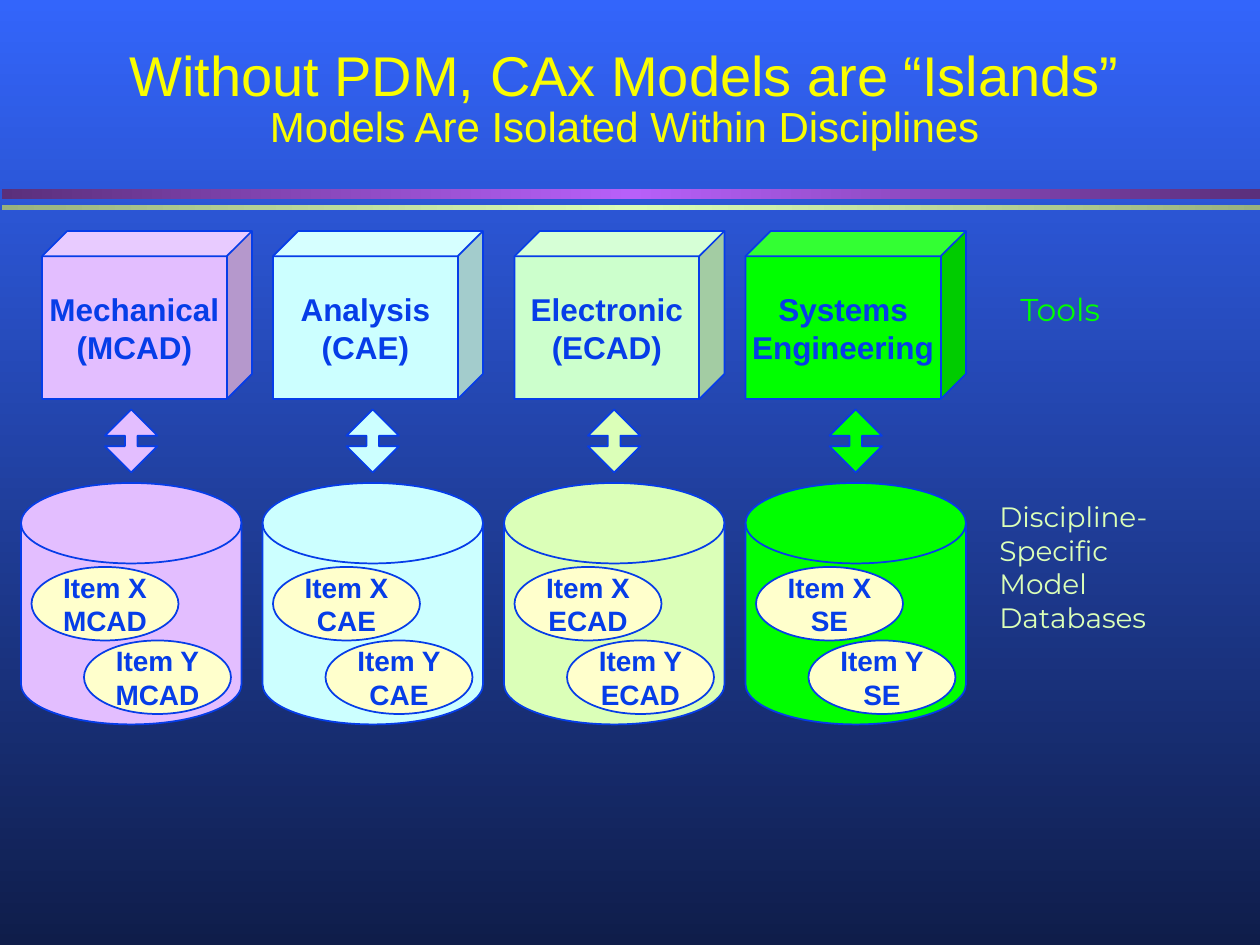
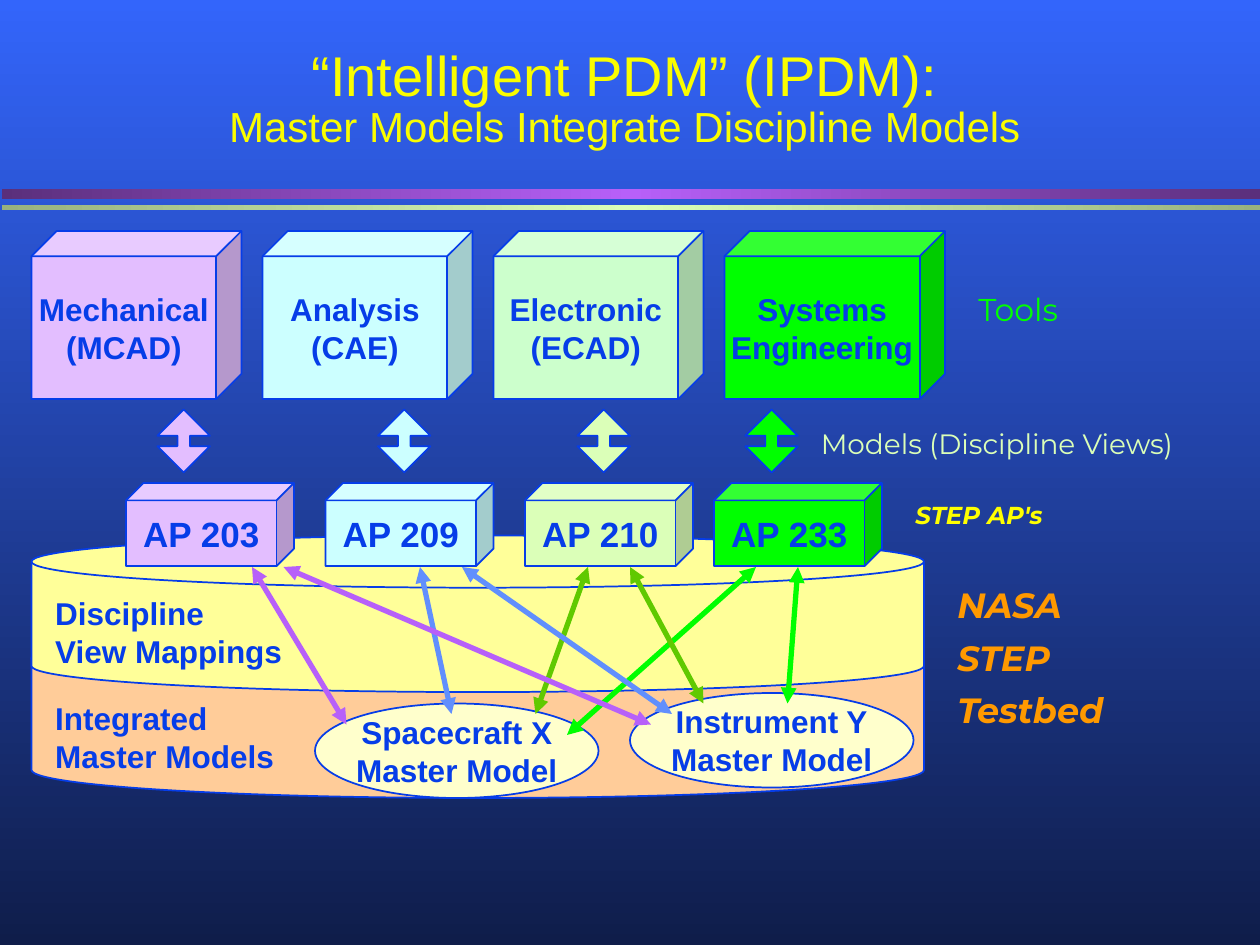
"""Builds two slides on product data management with and without shared master models."""
from copy import deepcopy

from lxml import etree
from pptx import Presentation
from pptx.dml.color import RGBColor
from pptx.enum.shapes import MSO_CONNECTOR, MSO_SHAPE
from pptx.enum.text import MSO_ANCHOR, MSO_AUTO_SIZE, PP_ALIGN
from pptx.oxml.ns import qn
from pptx.util import Pt

RECTANGLE = MSO_SHAPE.RECTANGLE
CUBE = MSO_SHAPE.CUBE
DISK = MSO_SHAPE.FLOWCHART_MAGNETIC_DISK
ELLIPSE = MSO_SHAPE.OVAL
DOUBLE_ARROW = MSO_SHAPE.UP_DOWN_ARROW
STRAIGHT = MSO_CONNECTOR.STRAIGHT
NO_AUTOFIT = MSO_AUTO_SIZE.NONE
CENTER, LEFT = PP_ALIGN.CENTER, PP_ALIGN.LEFT
TOP, MIDDLE, BOTTOM = MSO_ANCHOR.TOP, MSO_ANCHOR.MIDDLE, MSO_ANCHOR.BOTTOM

COLORS = {
    "sky": "3365FB", "night": "0F1D4A", "title": "FAFD00", "ink": "063DE8",
    "violet": "B760F9", "dark violet": "5A2F7B", "dark lime": "98B17F",
    "lilac": "E3BEFF", "cyan": "CCFFFF", "mint": "CCFFCC", "lime": "DBFFB8",
    "green": "00FF00", "cream": "FFFFCC", "peach": "FFCC99", "pale yellow": "FFFF99",
    "yellow": "FFFF00", "orange": "FF9900", "blue": "618FFD", "leaf": "60C900",
}
HEADING_FONT, LABEL_FONT = "Arial", "Montserrat"
TOOLS = [("Mechanical\n(MCAD)", "lilac"), ("Analysis\n(CAE)", "cyan"),
         ("Electronic\n(ECAD)", "mint"), ("Systems\nEngineering", "green")]
MODEL_COLORS = ["lilac", "cyan", "lime", "green"]


def rgb(name):
    return RGBColor.from_string(COLORS[name])


class Deck:
    """Holds the shared style and the current slide."""

    def __init__(self):
        self.presentation = Presentation()
        self.presentation.slide_width = Pt(720)
        self.presentation.slide_height = Pt(540)
        self.slide = None
        backdrop = self.presentation.slide_master.background.fill
        backdrop.gradient()
        backdrop.gradient_angle = 270
        self.color_stops(backdrop, ["sky", "night"])

    def color_stops(self, fill, names):
        for index, (stop, name) in enumerate(zip(fill.gradient_stops, names)):
            stop.position = index / (len(names) - 1)
            stop.color.rgb = rgb(name)

    def start(self, heading, subheading):
        self.slide = self.presentation.slides.add_slide(self.presentation.slide_layouts[5])
        self.band(108, 6, "dark violet", "violet")
        self.band(117, 3, "dark lime", "lime")
        title = self.slide.shapes.title
        title.left, title.top, title.width, title.height = Pt(48), Pt(18), Pt(618), Pt(72)
        frame = title.text_frame
        frame.auto_size = NO_AUTOFIT
        frame.vertical_anchor = BOTTOM
        paragraph = frame.paragraphs[0]
        paragraph.alignment = CENTER
        paragraph.line_spacing = 0.85
        self.style(paragraph.font, 32, "title", HEADING_FONT)
        paragraph.add_run().text = heading
        paragraph.add_line_break()
        second_line = paragraph.add_run()
        second_line.text = subheading
        second_line.font.size = Pt(24)

    def style(self, font, size, color, name, bold=False, italic=False):
        font.name, font.size, font.bold, font.italic = name, Pt(size), bold, italic
        font.color.rgb = rgb(color)

    def fill_text(self, frame, paragraphs, align, anchor, **look):
        frame.word_wrap = False
        frame.vertical_anchor = anchor
        for index, text in enumerate(paragraphs):
            paragraph = frame.add_paragraph() if index else frame.paragraphs[0]
            paragraph.text = text
            paragraph.alignment = align
            self.style(paragraph.font, **look)

    def band(self, top, height, edge, middle):
        band = self.slide.shapes.add_shape(RECTANGLE, Pt(1), Pt(top), Pt(719), Pt(height))
        band.shadow.inherit = False
        band.line.fill.background()
        band.fill.gradient()
        band.fill.gradient_angle = 180
        stops = next(band._element.iter(qn("a:gsLst")))
        stops.append(deepcopy(stops[0]))
        self.color_stops(band.fill, [edge, middle, edge])

    def shape(self, kind, left, top, width, height, color, text=(), size=18, adjust=()):
        shape = self.slide.shapes.add_shape(kind, Pt(left), Pt(top), Pt(width), Pt(height))
        shape.shadow.inherit = False
        shape.fill.solid()
        shape.fill.fore_color.rgb = rgb(color)
        shape.line.color.rgb = rgb("ink")
        shape.line.width = Pt(1)
        for index, value in enumerate(adjust):
            shape.adjustments[index] = value
        if text:
            self.fill_text(shape.text_frame, text, CENTER, MIDDLE,
                           size=size, color="ink", name=HEADING_FONT, bold=True)

    def tools(self, lefts):
        for left, (name, color) in zip(lefts, TOOLS):
            width = 126 if color == "green" else 120
            self.shape(CUBE, left, 132, width, 96, color, [name], adjust=[0.15])

    def exchange_arrows(self, lefts):
        for left, color in zip(lefts, MODEL_COLORS):
            self.shape(DOUBLE_ARROW, left, 234, 30, 36, color, adjust=[0.5, 0.24])

    def label(self, left, top, width, height, paragraphs, size, color,
              name=LABEL_FONT, bold=False, italic=False):
        box = self.slide.shapes.add_textbox(Pt(left), Pt(top), Pt(width), Pt(height))
        self.fill_text(box.text_frame, paragraphs, LEFT, TOP,
                       size=size, color=color, name=name, bold=bold, italic=italic)

    def link(self, start, end, color):
        link = self.slide.shapes.add_connector(STRAIGHT, *map(Pt, start + end))
        link.line.color.rgb = rgb(color)
        link.line.width = Pt(3)
        line = link._element.spPr.find(qn("a:ln"))
        for tag in ("a:headEnd", "a:tailEnd"):
            etree.SubElement(line, qn(tag), type="triangle")
        etree.SubElement(link._element.spPr, qn("a:effectLst"))


def build_islands(deck):
    deck.start("Without PDM, CAx Models are “Islands”", "Models Are Isolated Within Disciplines")
    databases = [12 + 138 * column for column in range(4)]
    deck.tools([24, 156, 294, 426])
    deck.label(576, 162, 72, 24, ["Tools"], 18, "green")
    deck.label(564, 282, 132, 132, ["Discipline-", "Specific", "Model", "Databases"], 16, "lime")
    deck.exchange_arrows([left + 48 for left in databases])
    for left, color, discipline in zip(databases, MODEL_COLORS, ["MCAD", "CAE", "ECAD", "SE"]):
        deck.shape(DISK, left, 276, 126, 138, color)
        for item, indent, top in [("X", 6, 324), ("Y", 36, 366)]:
            deck.shape(ELLIPSE, left + indent, top, 84, 42, "cream",
                       [f"Item {item}\n{discipline}"], 16)


def build_integration(deck):
    deck.start("“Intelligent PDM” (IPDM):", "Master Models Integrate Discipline Models")
    deck.shape(DISK, 18, 360, 510, 96, "peach")
    deck.shape(DISK, 18, 306, 510, 89.5, "pale yellow")
    protocols = zip([72, 186, 300, 408], MODEL_COLORS, [203, 209, 210, 233])
    for left, color, number in protocols:
        deck.shape(CUBE, left, 276, 96, 47.5, color, [f"AP {number}"], 20, [0.21])
    deck.tools([18 + 132 * column for column in range(4)])
    deck.exchange_arrows([90, 216, 330, 426])

    deck.label(552, 162, 72, 24, ["Tools"], 18, "green")
    deck.label(462, 240, 240, 22, ["Models (Discipline Views)"], 16, "lime")
    deck.label(516, 282, 102, 20, ["STEP AP's"], 14, "yellow", bold=True, italic=True)
    for row, word in enumerate(["NASA", "STEP", "Testbed"]):
        deck.label(540, 330 + 30 * row, 116, 26, [word], 20, "orange", bold=True, italic=True)
    for top, lines in [(396, ["Integrated", "Master Models"]),
                       (336, ["Discipline", "View Mappings"])]:
        deck.label(24.5, top, 144, 50, lines, 18, "ink", HEADING_FONT, bold=True)

    link_colors = ["violet", "blue", "leaf", "green"]
    master_models = [
        ("Spacecraft X", 180, 402, [
            ((144, 324), (198, 414)), ((240, 324), (258, 408)),
            ((336, 324), (306, 408)), ((432, 324), (324, 420))]),
        ("Instrument Y", 360, 396, [
            ((162, 324), (372, 414)), ((264, 324), (384, 408)),
            ((360, 324), (402, 402)), ((456, 324), (450, 402))]),
    ]
    for name, left, top, links in master_models:
        deck.shape(ELLIPSE, left, top, 162, 54, "cream", [name, "Master Model"])
        for (start, end), color in zip(links, link_colors):
            deck.link(start, end, color)


def main():
    deck = Deck()
    build_islands(deck)
    build_integration(deck)
    deck.presentation.save("out.pptx")


if __name__ == "__main__":
    main()
